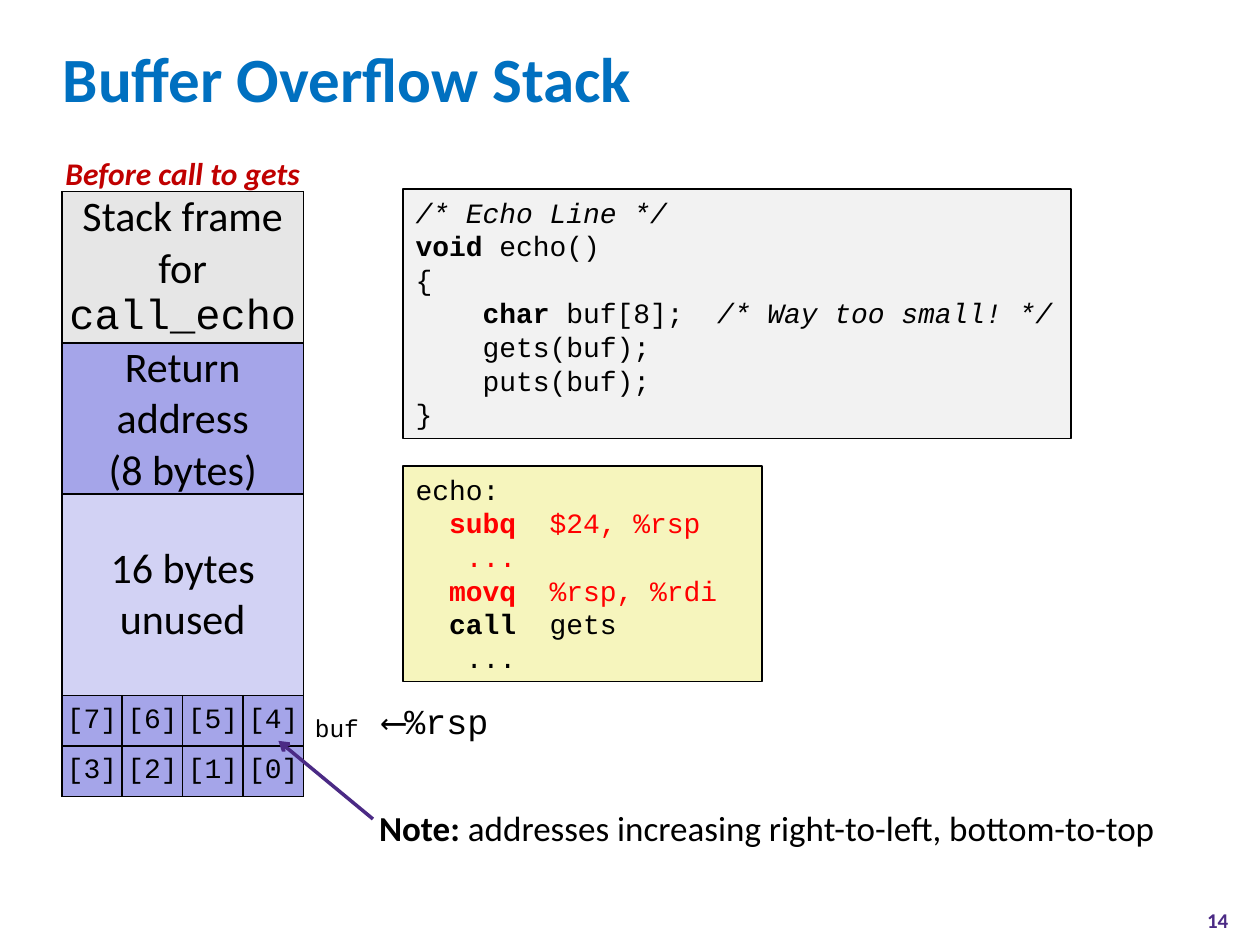
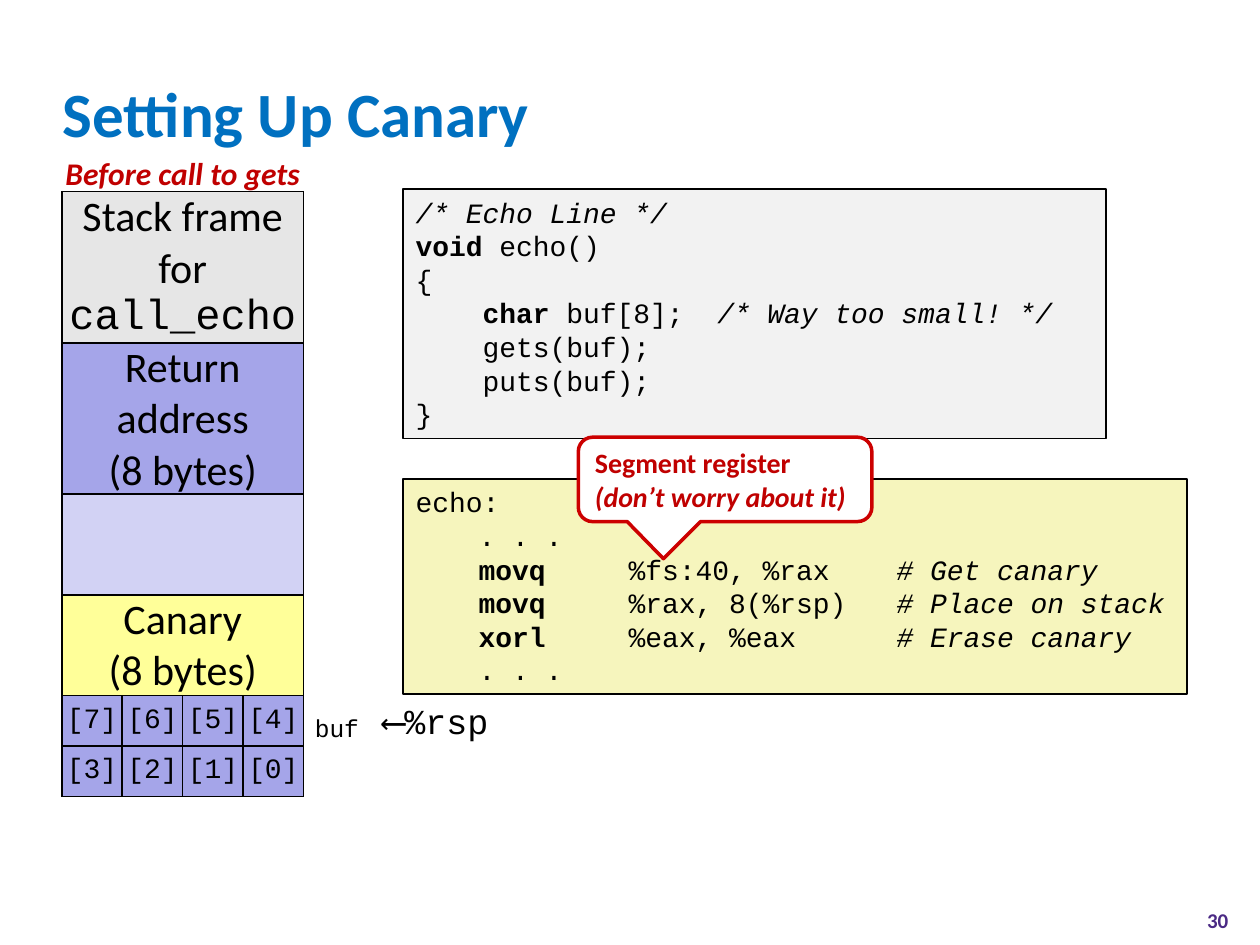
from lxml import etree
from pptx import Presentation
from pptx.dml.color import RGBColor
from pptx.enum.shapes import MSO_CONNECTOR, MSO_SHAPE
from pptx.enum.text import MSO_ANCHOR as ANCHOR, PP_ALIGN as ALIGN
from pptx.oxml.ns import qn
from pptx.util import Inches, Pt

# Shared colours and fonts
BLACK = RGBColor(0x00, 0x00, 0x00)
WHITE = RGBColor(0xFF, 0xFF, 0xFF)
TITLE_BLUE = RGBColor(0x00, 0x70, 0xC0)
PURPLE = RGBColor(0x4B, 0x2A, 0x85)
DARK_RED = RGBColor(0xC0, 0x00, 0x00)
CALLOUT_RED = RGBColor(0xCC, 0x00, 0x00)
RED = RGBColor(0xFF, 0x00, 0x00)
C_GREY = RGBColor(0xF2, 0xF2, 0xF2)
ASM_YELLOW = RGBColor(0xF6, 0xF5, 0xBD)
FRAME_GREY = RGBColor(0xE6, 0xE6, 0xE6)
LILAC = RGBColor(0xA5, 0xA5, 0xE9)
PALE_LILAC = RGBColor(0xD2, 0xD2, 0xF4)
CANARY_YELLOW = RGBColor(0xFF, 0xFF, 0x99)
SANS, MONO = "Calibri", "Courier New"

# Code listings: each line is a list of (text, style), b bold, i italic, r red
C_CODE = [
    [("/* Echo Line */", "i")],
    [("void", "b"), (" echo()", "")],
    [("{", "")],
    [("    ", ""), ("char ", "b"), ("buf[8];  ", ""), ("/* Way too small! */", "i")],
    [("    gets(buf);", "")],
    [("    puts(buf);", "")],
    [("}", "")],
]
OVERFLOW_ASM = [
    [("echo:", "")],
    [("  ", ""), ("subq", "br"), ("  $24, %rsp", "r")],
    [("   ...", "r")],
    [("  ", ""), ("movq", "br"), ("  %rsp, %rdi", "r")],
    [("  ", ""), ("call", "b"), ("  gets", "")],
    [("   ...", "")],
]
CANARY_ASM = [
    [("echo:", "")],
    [("\t. . .", "")],
    [("\t", ""), ("movq", "b"), ("\t%fs:40, %rax    ", ""), ("# Get canary", "i")],
    [("\t", ""), ("movq", "b"), ("\t%rax, 8(%rsp)   ", ""), ("# Place on stack", "i")],
    [("\t", ""), ("xorl", "b"), ("\t%eax, %eax      ", ""), ("# Erase canary", "i")],
    [("\t. . .", "")],
]

# Stack parts: (height, fill, lines)
CALLER_FRAME = (1.2, FRAME_GREY, [[("Stack frame for ", ""), ("call_echo", "m")]])
RETURN_ADDRESS = (1.2, LILAC, [[("Return address", "")], [("(8 bytes)", "")]])
UNUSED = (1.6, PALE_LILAC, [[("16 bytes unused", "")]])
EMPTY = (0.8, PALE_LILAC, [])
CANARY = (0.8, CANARY_YELLOW, [[("Canary", "")], [("(8 bytes)", "")]])
STACK_LEFT, STACK_TOP, BYTE_W, BYTE_H = 0.49, 1.52, 0.48, 0.4
BYTES_PER_ROW, BUF_SIZE = 4, 8


def inches(box):
    return [Inches(v) for v in box]


def write(tf, lines, size, color=BLACK, name=SANS, bold=None, italic=None,
          align=ALIGN.LEFT, tabs=()):
    """Fill a text frame; style letters b, i, r, m (monospace) mark single runs."""
    for n, line in enumerate(lines):
        p = tf.paragraphs[0] if n == 0 else tf.add_paragraph()
        p.alignment = align
        if tabs:
            tab_list = etree.SubElement(p._p.get_or_add_pPr(), qn("a:tabLst"))
            for pos in tabs:
                etree.SubElement(tab_list, qn("a:tab"), pos=str(Inches(pos)), algn="l")
        f = p.font
        f.size, f.name, f.bold, f.italic = Pt(size), name, bold, italic
        f.color.rgb = color
        for text, style in line:
            r = p.add_run()
            r.text = text
            if "b" in style:
                r.font.bold = True
            if "i" in style:
                r.font.italic = True
            if "r" in style:
                r.font.color.rgb = RED
            if "m" in style:
                r.font.name = MONO


def add_label(slide, box, runs, size, anchor=ANCHOR.TOP, wrap=False, inset=True, **style):
    tf = slide.shapes.add_textbox(*inches(box)).text_frame
    tf.word_wrap, tf.vertical_anchor = wrap, anchor
    if not inset:
        tf.margin_left = tf.margin_right = tf.margin_top = tf.margin_bottom = 0
    write(tf, [runs], size, **style)
    return tf


def add_panel(slide, kind, box, fill, line, width, anchor=ANCHOR.TOP):
    sp = slide.shapes.add_shape(kind, *inches(box))
    sp.shadow.inherit = False
    sp.fill.solid()
    sp.fill.fore_color.rgb = fill
    sp.line.color.rgb = line
    sp.line.width = Pt(width)
    sp.text_frame.word_wrap = True
    sp.text_frame.vertical_anchor = anchor
    return sp


def add_code(slide, box, fill, lines, tabs=()):
    sp = add_panel(slide, MSO_SHAPE.RECTANGLE, box, fill, BLACK, 1)
    write(sp.text_frame, lines, 16, name=MONO, tabs=tabs)


def style_cell(cell, fill):
    tcPr = cell._tc.get_or_add_tcPr()
    for side in ("lnL", "lnR", "lnT", "lnB"):
        ln = etree.SubElement(tcPr, qn("a:" + side), w=str(Pt(1)))
        solid = etree.SubElement(ln, qn("a:solidFill"))
        etree.SubElement(solid, qn("a:srgbClr"), val=str(BLACK))
    cell.fill.solid()
    cell.fill.fore_color.rgb = fill
    cell.margin_left = cell.margin_right = cell.margin_top = cell.margin_bottom = 0
    cell.vertical_anchor = ANCHOR.MIDDLE


def add_stack(slide, left, top, parts):
    """Stack table: merged rows for the parts, then the bytes of buf."""
    heights = [h for h, _, _ in parts] + [BYTE_H] * (BUF_SIZE // BYTES_PER_ROW)
    width = BYTE_W * BYTES_PER_ROW
    # Heading, a little wider than the stack so that it stays on one line
    add_label(slide, (left - 0.1, top - 0.3, width + 0.2, 0.3), [("Before call to gets", "")],
              18, inset=False, color=DARK_RED, bold=True, italic=True, align=ALIGN.CENTER)
    table = slide.shapes.add_table(len(heights), BYTES_PER_ROW,
                                   *inches((left, top, width, sum(heights)))).table
    table.first_row = table.horz_banding = False
    for col in table.columns:
        col.width = Inches(BYTE_W)
    for row, height in zip(table.rows, heights):
        row.height = Inches(height)
    for n, (_, fill, lines) in enumerate(parts):
        for c in range(BYTES_PER_ROW):
            style_cell(table.cell(n, c), fill)
        first = table.cell(n, 0)
        first.merge(table.cell(n, BYTES_PER_ROW - 1))
        write(first.text_frame, lines, 24, align=ALIGN.CENTER)
    for k in range(BUF_SIZE):
        row, col = divmod(k, BYTES_PER_ROW)
        cell = table.cell(len(parts) + row, col)
        style_cell(cell, LILAC)
        write(cell.text_frame, [[(f"[{BUF_SIZE - 1 - k}]", "")]], 16, name=MONO,
              align=ALIGN.CENTER)
    # Labels beside the buffer
    right, buf_top = left + width, top + sum(heights) - 2 * BYTE_H + 0.05
    add_label(slide, (right - 0.01, buf_top, 0.55, 0.41), [("buf", "")], 14,
              anchor=ANCHOR.MIDDLE, name=MONO)
    tf = add_label(slide, (right + 0.55, buf_top, 1, 0.41), [("⟵%rsp", "")], 20,
                   anchor=ANCHOR.MIDDLE, inset=False, name=MONO, align=ALIGN.CENTER)
    tf.paragraphs[0].line_spacing = Pt(16)


def add_note(slide, left, top):
    """Note on address order, with an arrow up to the buffer."""
    arrow = slide.shapes.add_connector(MSO_CONNECTOR.STRAIGHT, *inches(
        (left + 0.05, top + 0.15, left - 0.7, top - 0.47)))
    arrow.line.color.rgb = PURPLE
    arrow.line.width = Pt(2)
    etree.SubElement(arrow.line._get_or_add_ln(), qn("a:tailEnd"), type="arrow")
    etree.SubElement(arrow._element.spPr, qn("a:effectLst"))
    add_label(slide, (left, top, 6.42, 0.44),
              [("Note:", "b"), (" addresses increasing right-to-left, bottom-to-top", "")], 20)


def add_callout(slide, box):
    sp = add_panel(slide, MSO_SHAPE.ROUNDED_RECTANGULAR_CALLOUT, box, WHITE, CALLOUT_RED, 2,
                   ANCHOR.MIDDLE)
    for n, value in enumerate((-0.21, 0.94, 0.17)):
        sp.adjustments[n] = value
    write(sp.text_frame, [[("Segment register", "")], [("(don’t worry about it)", "i")]],
          16, color=DARK_RED, bold=True)


def add_stack_slide(prs, title, title_top, number, parts, c_width):
    """Frame of both slides: title, page number, stack and C listing."""
    slide = prs.slides.add_slide(prs.slide_layouts[6])
    add_label(slide, (0.4, title_top, 9.19, 0.83), [(title, "")], 36, anchor=ANCHOR.MIDDLE,
              wrap=True, color=TITLE_BLUE, bold=True)
    add_label(slide, (9.33, 7.1, 0.67, 0.4), [(str(number), "")], 12, anchor=ANCHOR.MIDDLE,
              wrap=True, color=PURPLE, bold=True, align=ALIGN.CENTER)
    add_stack(slide, STACK_LEFT, STACK_TOP, parts)
    add_code(slide, (3.2, 1.5, c_width, 1.98), C_GREY, C_CODE)
    return slide


def main():
    prs = Presentation()
    prs.slide_width, prs.slide_height = Inches(10), Inches(7.5)

    overflow = add_stack_slide(prs, "Buffer Overflow Stack", 0.2, 14,
                               [CALLER_FRAME, RETURN_ADDRESS, UNUSED], 5.3)
    add_code(overflow, (3.2, 3.7, 2.85, 1.71), ASM_YELLOW, OVERFLOW_ASM)
    add_note(overflow, 2.91, 6.35)

    canary = add_stack_slide(prs, "Setting Up Canary", 0.48, 30,
                             [CALLER_FRAME, RETURN_ADDRESS, EMPTY, CANARY], 5.58)
    add_code(canary, (3.2, 3.8, 6.22, 1.71), ASM_YELLOW, CANARY_ASM, tabs=(0.5, 1.69))
    add_callout(canary, (4.59, 3.47, 2.33, 0.67))

    prs.save("out.pptx")


if __name__ == "__main__":
    main()
